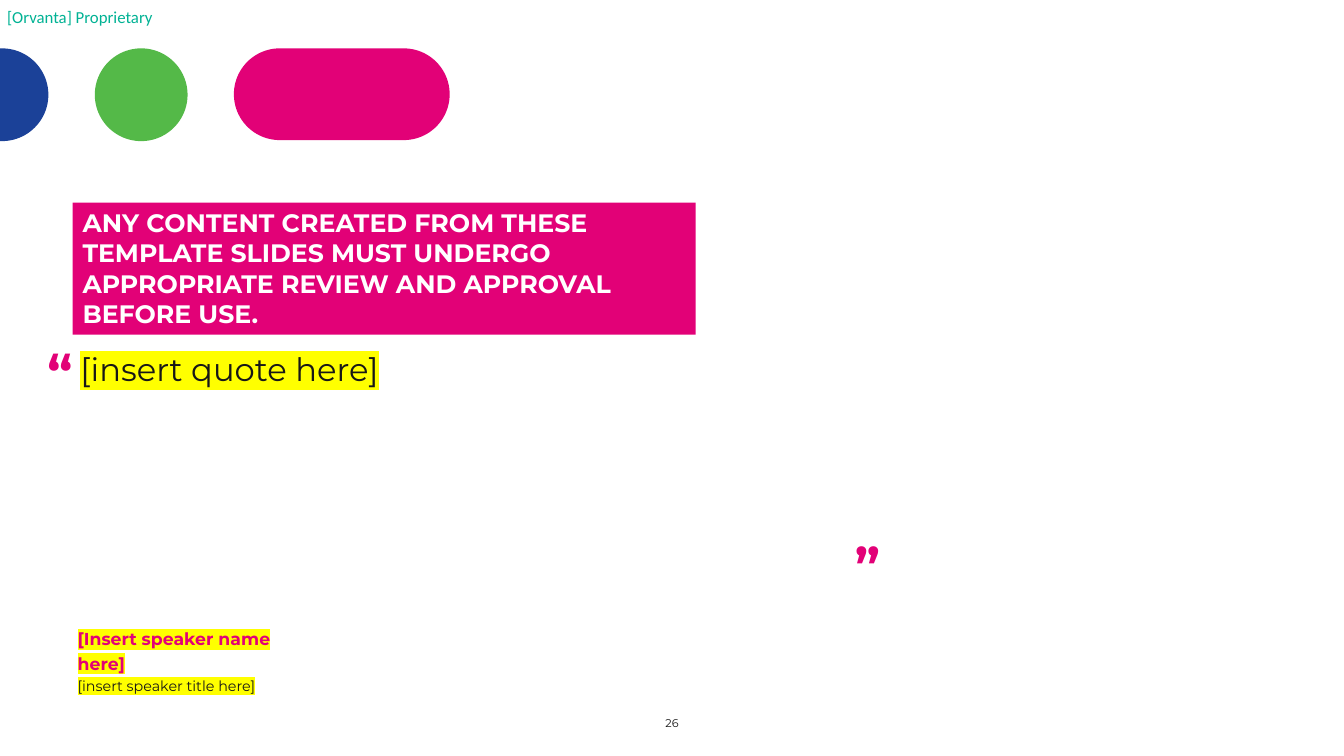
import math

import lxml.etree
import pptx
import pptx.dml.color
import pptx.enum.shapes
import pptx.enum.text
import pptx.oxml.ns
import pptx.util

Inches = pptx.util.Inches
Align = pptx.enum.text.PP_ALIGN
Anchor = pptx.enum.text.MSO_ANCHOR
Shape = pptx.enum.shapes.MSO_SHAPE

COLORS = {
    "magenta": "E20177", "blue": "1B4198", "green": "54B948", "teal": "00B294",
    "ink": "171717", "white": "FFFFFF", "marker": "FFFF00",
}
DEFAULT_INSETS = (0.1, 0.05, 0.1, 0.05)


def rgb(name):
    return pptx.dml.color.RGBColor.from_string(COLORS[name])


class QuoteSlide:
    """Holds the text style and the slide being filled."""

    def __init__(self, slide, font="Montserrat"):
        self.slide = slide
        self.font = font

    def paint(self, shape, color):
        shape.shadow.inherit = False
        shape.fill.solid()
        shape.fill.fore_color.rgb = rgb(color)
        shape.line.fill.background()
        return shape

    def shape(self, kind, box, color):
        return self.paint(self.slide.shapes.add_shape(kind, *map(Inches, box)), color)

    def half_disc(self, center_x, center_y, radius, color, steps=60):
        """Right half of a disc, cut off by the left slide edge."""
        angles = [math.pi * (i / steps - 0.5) for i in range(steps + 1)]
        arc = [(Inches(center_x + radius * math.cos(a)),
                Inches(center_y + radius * math.sin(a))) for a in angles]
        top, bottom = arc[0][1], arc[-1][1]
        outline = self.slide.shapes.build_freeform(0, top)
        outline.add_line_segments(arc + [(0, bottom)], close=True)
        return self.paint(outline.convert_to_shape(), color)

    def frame(self, shape, insets=DEFAULT_INSETS, anchor=Anchor.TOP):
        frame = shape.text_frame
        frame.word_wrap = True
        frame.vertical_anchor = anchor
        (frame.margin_left, frame.margin_top,
         frame.margin_right, frame.margin_bottom) = map(Inches, insets)
        return frame

    def text_box(self, box, insets=DEFAULT_INSETS, anchor=Anchor.TOP):
        return self.frame(self.slide.shapes.add_textbox(*map(Inches, box)), insets, anchor)

    def add_text(self, paragraph, text, size, color, bold=False, font=None,
                 marked=False, align=Align.LEFT, spacing=None):
        paragraph.alignment = align
        if spacing:
            paragraph.line_spacing = spacing
        run = paragraph.add_run()
        run.text = text
        run.font.size = pptx.util.Pt(size)
        run.font.bold = bold
        run.font.color.rgb = rgb(color)
        if marked:
            qn = pptx.oxml.ns.qn
            properties = run._r.get_or_add_rPr()
            highlight = lxml.etree.SubElement(properties, qn("a:highlight"))
            lxml.etree.SubElement(highlight, qn("a:srgbClr"), val=COLORS["marker"])
        run.font.name = font or self.font


def main():
    deck = pptx.Presentation()
    deck.slide_width, deck.slide_height = Inches(13.33), Inches(7.5)
    page = QuoteSlide(deck.slides.add_slide(deck.slide_layouts[6]))

    # Classification label and page number
    label = page.text_box((0.07, 0.07, 1.53, 0.2), (0, 0, 0, 0))
    label.word_wrap = False
    page.add_text(label.paragraphs[0], "[Orvanta] Proprietary", 12, "teal", font="Calibri")
    number = page.text_box((6.44, 7.06, 0.45, 0.3))
    page.add_text(number.paragraphs[0], "26", 8, "ink", align=Align.CENTER)

    # Brand shapes
    page.half_disc(0.02, 0.94, 0.46, "blue")
    page.shape(Shape.OVAL, (0.94, 0.48, 0.92, 0.92), "green")
    pill = page.shape(Shape.ROUNDED_RECTANGLE, (2.32, 0.48, 2.14, 0.91), "magenta")
    pill.adjustments[0] = 0.5

    # Quote and its marks
    quote = page.text_box((0.7, 3.42, 8.46, 3.03))
    page.add_text(quote.paragraphs[0], "[insert quote here]", 23, "ink",
                  marked=True, align=Align.JUSTIFY)
    for mark, left, top in (("“", 0.47, 3.25), ("”", 8.48, 5.17)):
        mark_box = page.text_box((left, top, 0.62, 0.73), (0, 0.03, 0, 0), Anchor.BOTTOM)
        page.add_text(mark_box.paragraphs[0], mark, 36, "magenta", bold=True, spacing=1.2)

    # Speaker
    speaker = page.text_box((0.77, 6.15, 2.4, 0.56), (0, 0.04, 0, 0))
    page.add_text(speaker.paragraphs[0], "[Insert speaker name here]", 12.3, "magenta",
                  bold=True, marked=True, spacing=1.2)
    page.add_text(speaker.add_paragraph(), "[insert speaker title here]", 10.2, "ink",
                  marked=True, spacing=1.2)

    # Review notice
    notice = page.frame(page.shape(Shape.RECTANGLE, (0.72, 2.01, 6.18, 1.31), "magenta"))
    page.add_text(notice.paragraphs[0],
                  "ANY CONTENT CREATED FROM THESE TEMPLATE SLIDES MUST UNDERGO "
                  "APPROPRIATE REVIEW AND APPROVAL BEFORE USE.", 18, "white", bold=True)

    deck.save("out.pptx")


if __name__ == "__main__":
    main()
